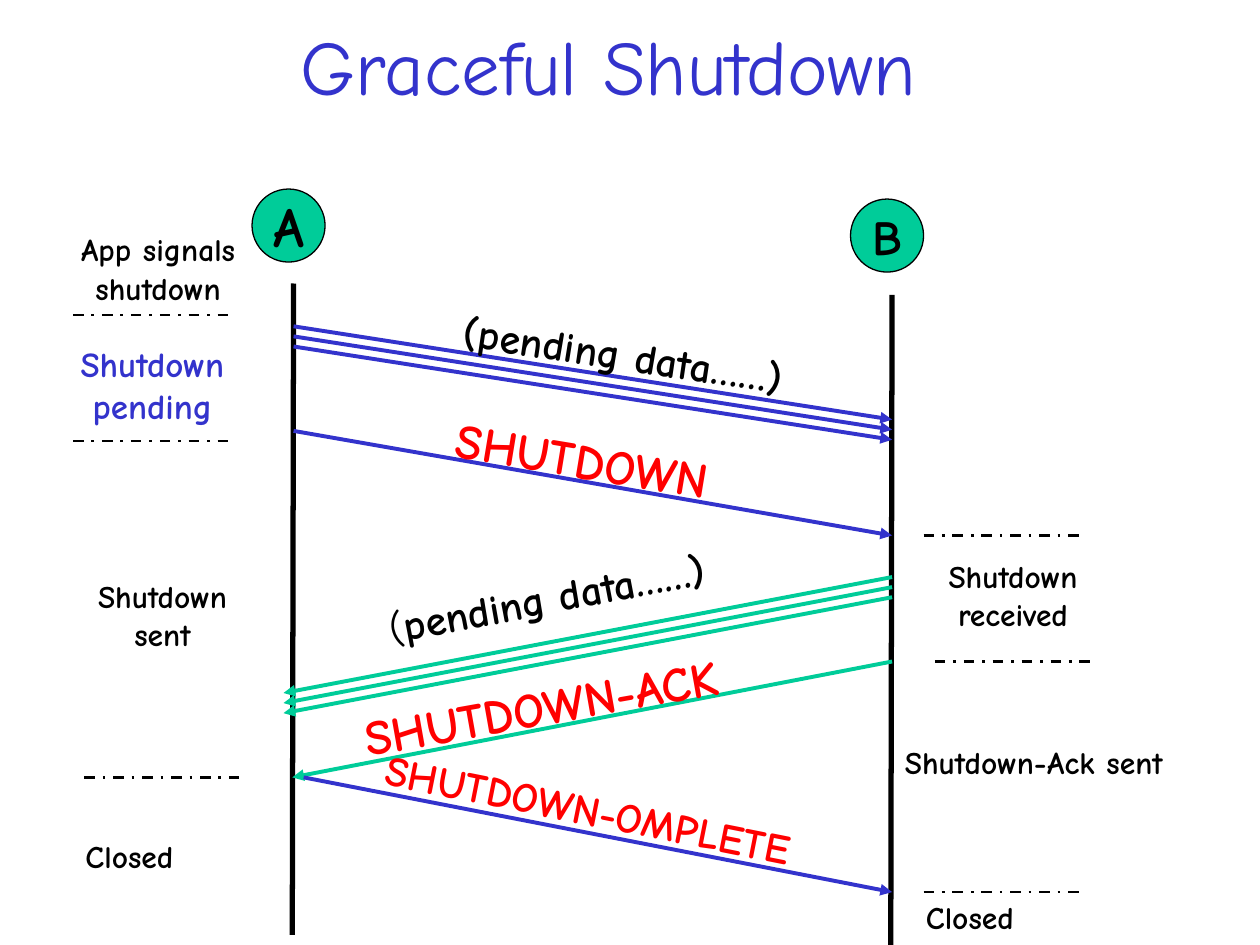
from dataclasses import dataclass

from lxml import etree
from pptx import Presentation
from pptx import util as u
from pptx.dml.color import RGBColor
from pptx.enum import dml, shapes, text
from pptx.oxml.ns import qn


@dataclass(frozen=True)
class Theme:
    font: str = "Comic Neue"
    black: str = "000000"
    blue: str = "3333CC"
    green: str = "00CC99"
    red: str = "FF0000"
    title: int = 44
    node: int = 32
    signal: int = 28
    data: int = 24
    state: int = 18
    gap: int = 20  # spaces between the words of a state


def write(p, content, theme, size, color=None, bold=True):
    r = p.add_run()
    r.text = content
    r.font.name = theme.font
    r.font.size = u.Pt(size)
    r.font.bold = bold
    r.font.color.rgb = RGBColor.from_string(color or theme.black)


class Diagram:
    def __init__(self, slide, theme):
        self.s, self.t = slide, theme

    def box(self, x, y, w, h, align=text.PP_ALIGN.LEFT, angle=0, grow=True):
        sp = self.s.shapes.add_textbox(*map(u.Inches, (x, y, w, h)))
        sp.rotation = angle
        tf = sp.text_frame
        tf.word_wrap = True
        if grow:
            tf.auto_size = text.MSO_AUTO_SIZE.SHAPE_TO_FIT_TEXT
        p = tf.paragraphs[0]
        p.alignment = align
        return tf, p

    def title(self, content, x, y, w, h):
        tf, p = self.box(x, y, w, h, text.PP_ALIGN.CENTER, grow=False)
        tf.vertical_anchor = text.MSO_ANCHOR.MIDDLE
        write(p, content, self.t, self.t.title, self.t.blue, bold=False)

    def line(self, x1, y1, x2, y2, color, width, dash=None, arrow=False):
        ln = self.s.shapes.add_connector(
            shapes.MSO_CONNECTOR.STRAIGHT, *map(u.Inches, (x1, y1, x2, y2)))
        ln.line.color.rgb = RGBColor.from_string(color)
        ln.line.width = u.Pt(width)
        if dash:
            ln.line.dash_style = dash
        if arrow:
            etree.SubElement(ln.line._get_or_add_ln(), qn("a:tailEnd"), type="triangle")
        etree.SubElement(ln._element.spPr, qn("a:effectLst"))

    def message(self, x1, y1, x2, y2, color):
        self.line(x1, y1, x2, y2, color, 2.25, arrow=True)

    def divider(self, x, y):
        self.line(x, y, x + 1.25, y, self.t.black, 1.5, dash=dml.MSO_LINE.DASH_DOT)

    def label(self, content, x, y, w, h, angle, size, color, light=""):
        """Slanted caption; light is a regular-weight lead-in."""
        _, p = self.box(x, y, w, h, angle=angle)
        if light:
            write(p, light, self.t, size, color, bold=False)
        write(p, content, self.t, size, color)

    def state(self, content, x, y, w, h, align=text.PP_ALIGN.CENTER):
        _, p = self.box(x, y, w, h, align)
        for i, word in enumerate(content.split()):
            if i:
                write(p, " ", self.t, self.t.gap, bold=False)
            write(p, word, self.t, self.t.state)

    def node(self, name, x, y, size):
        sp = self.s.shapes.add_shape(
            shapes.MSO_SHAPE.OVAL, *map(u.Inches, (x, y, 0.58, 0.58)))
        sp.shadow.inherit = False
        sp.fill.solid()
        sp.fill.fore_color.rgb = RGBColor.from_string(self.t.green)
        sp.line.color.rgb = RGBColor.from_string(self.t.black)
        sp.line.width = u.Pt(0.75)
        tf = sp.text_frame
        tf.word_wrap = False
        tf.vertical_anchor = text.MSO_ANCHOR.MIDDLE
        p = tf.paragraphs[0]
        p.alignment = text.PP_ALIGN.CENTER
        write(p, name, self.t, size)


def main():
    prs = Presentation()
    prs.slide_width, prs.slide_height = u.Inches(10), u.Inches(7.5)
    t = Theme()
    d = Diagram(prs.slides.add_slide(prs.slide_layouts[6]), t)
    a, b = 2.33, 7.08  # x of the two lifelines

    d.title("Graceful Shutdown", 0.58, 0.08, 8.5, 0.87)

    # Lifelines
    d.line(a, 2.25, a - 0.01, 7.42, t.black, 3)
    d.line(b, 2.34, b - 0.01, 7.5, t.black, 3)

    # Pending data, three parallel arrows each way
    for i in range(3):
        shift = i * 0.08
        d.message(a, 2.59 + shift, b, 3.33 + shift, t.blue)
        d.message(b, 4.58 + shift, 2.25, 5.5 + shift, t.green)

    # Shutdown handshake
    d.message(a, 3.42, b, 4.25, t.blue)
    d.message(b, 5.25, a - 0.01, 6.17, t.green)
    d.message(2.41, 6.17, b, 7.08, t.blue)

    # Message captions
    d.label("(pending data……)", 3.57, 2.6, 3.33, 0.5, 8.4, t.data, t.black)
    d.label("SHUTDOWN", 3.51, 3.42, 2.95, 0.57, 9.4, t.signal, t.red)
    d.label("pending data……)", 2.96, 4.42, 3.51, 0.5, 349.1, t.data, t.black, light="(")
    d.label("SHUTDOWN-ACK", 2.77, 5.25, 3.83, 0.57, 349.8, t.signal, t.red)
    d.label("SHUTDOWN-OMPLETE", 2.93, 6.25, 4.3, 0.5, 11.3, t.data, t.red)

    # Boundaries between states
    for x, y in ((0.58, 2.5), (0.58, 3.5), (0.67, 6.17),
                 (7.33, 4.25), (7.42, 5.25), (7.33, 7.08)):
        d.divider(x, y)

    # States of A
    d.state("App signals shutdown", 0.42, 1.75, 1.67, 0.74)
    _, p = d.box(0.42, 2.67, 1.58, 0.77, text.PP_ALIGN.CENTER)
    write(p, "Shutdown pending", t, t.gap, t.blue)
    d.state("Shutdown sent", 0.5, 4.5, 1.58, 0.74)
    d.state("Closed", 0.58, 6.59, 1.58, 0.4, text.PP_ALIGN.LEFT)

    # States of B
    d.state("Shutdown received", 7.25, 4.34, 1.58, 0.74)
    d.state("Shutdown-Ack sent", 7.08, 5.82, 2.25, 0.44)
    d.state("Closed", 7.25, 7.08, 1.58, 0.4, text.PP_ALIGN.LEFT)

    # Endpoints
    d.node("A", 2, 1.5, t.node)
    d.node("B", 6.75, 1.58, t.signal)

    prs.save("out.pptx")


if __name__ == "__main__":
    main()
